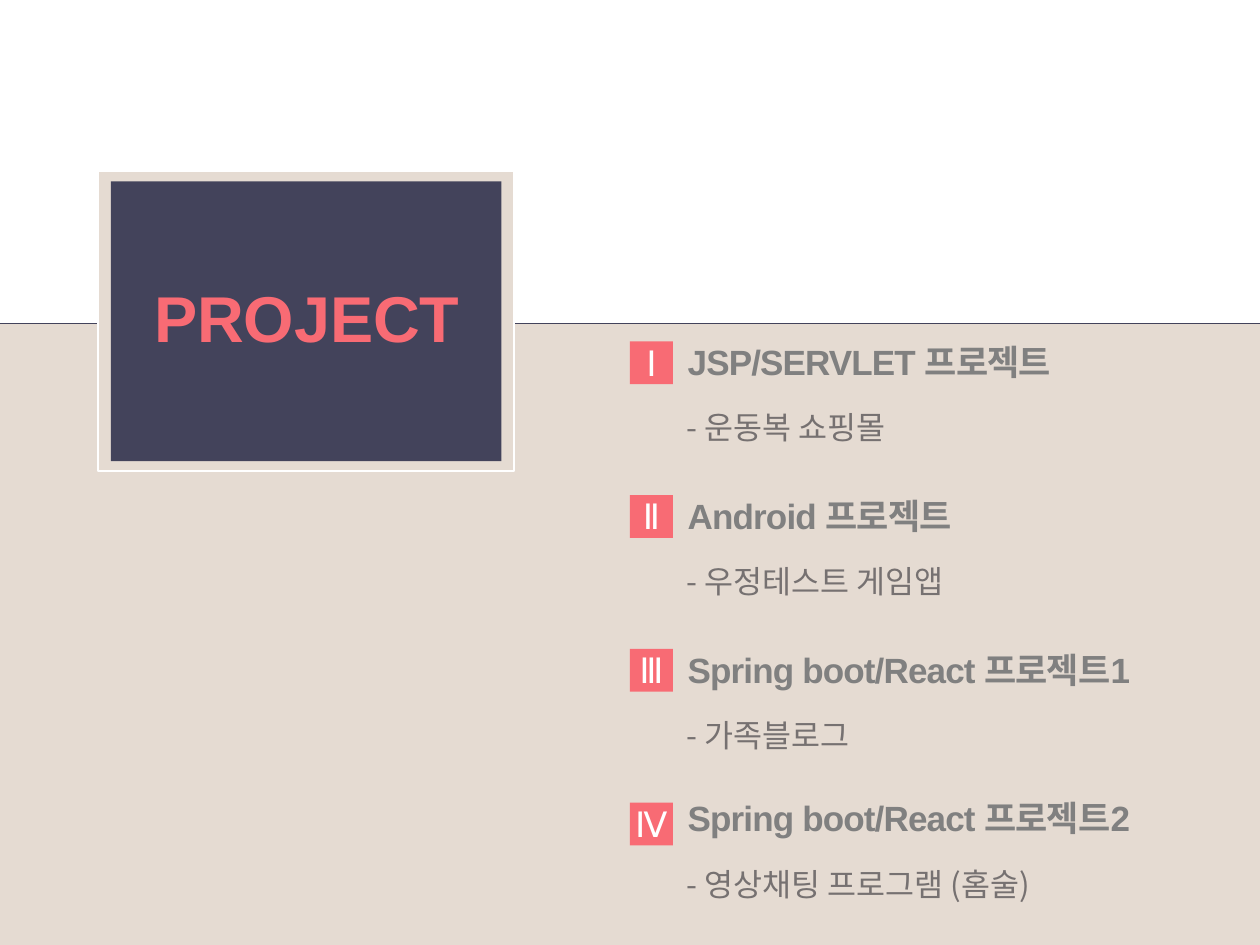
from pptx import Presentation
from pptx.dml.color import RGBColor
from pptx.enum.shapes import MSO_CONNECTOR, MSO_SHAPE
from pptx.enum.text import MSO_ANCHOR, PP_ALIGN
from pptx.oxml.ns import qn
from pptx.util import Inches, Pt
from lxml import etree

SAND = RGBColor(0xE5, 0xDB, 0xD2)
NAVY = RGBColor(0x43, 0x43, 0x5B)
CORAL = RGBColor(0xF8, 0x6B, 0x74)
WHITE = RGBColor(0xFF, 0xFF, 0xFF)
GRAY = RGBColor(0x80, 0x80, 0x80)
DARK = RGBColor(0x76, 0x71, 0x71)
KOREAN = "Noto Sans CJK KR"

deck = Presentation()
deck.slide_width, deck.slide_height = Inches(10), Inches(7.5)
slide = deck.slides.add_slide(deck.slide_layouts[6])
shapes = slide.shapes


def add_box(left, top, width, height, fill):
    box = shapes.add_shape(MSO_SHAPE.RECTANGLE, Inches(left), Inches(top),
                           Inches(width), Inches(height))
    box.shadow.inherit = False
    box.fill.solid()
    box.fill.fore_color.rgb = fill
    box.line.fill.background()
    return box


def set_text(shape, text, size, color, face="Arial", bold=False, space=0,
             align=PP_ALIGN.LEFT, wrap=False, anchor=MSO_ANCHOR.MIDDLE):
    frame = shape.text_frame
    frame.word_wrap = wrap
    frame.vertical_anchor = anchor
    para = frame.paragraphs[0]
    para.text = text
    para.alignment = align
    font = para.font
    font.name, font.size, font.bold = face, Pt(size), bold
    font.color.rgb = color
    # Letter spacing and the Korean typeface
    props = para._p.pPr.find(qn("a:defRPr"))
    props.set("spc", str(space))
    latin = props.find(qn("a:latin"))
    asian = etree.Element(qn("a:ea"), typeface=KOREAN)
    latin.addnext(asian)


# Lower background and dividing line
add_box(0, 2.57, 10, 4.93, SAND)
rule = shapes.add_connector(MSO_CONNECTOR.STRAIGHT, Inches(0), Inches(2.57),
                            Inches(10), Inches(2.57))
rule.line.color.rgb = NAVY
rule.line.width = Pt(0.5)
etree.SubElement(rule._element.spPr, qn("a:effectLst"))

# Framed title
frame = add_box(0.78, 1.36, 3.3, 2.38, SAND)
frame.line.color.rgb = WHITE
frame.line.width = Pt(1.25)
add_box(0.88, 1.44, 3.1, 2.22, NAVY)
title = shapes.add_textbox(Inches(0.96), Inches(2.21), Inches(2.95), Inches(0.61))
set_text(title, "PROJECT", 37, CORAL, bold=True, align=PP_ALIGN.CENTER)

# Projects: numeral, heading, detail, heading top, detail top
projects = [
    ("Ⅰ", "JSP/SERVLET 프로젝트", "- 운동복 쇼핑몰", 2.65, 3.19),
    ("Ⅱ", "Android 프로젝트", "- 우정테스트 게임앱", 3.87, 4.41),
    ("Ⅲ", "Spring boot/React 프로젝트1", "- 가족블로그", 5.09, 5.63),
    ("Ⅳ", "Spring boot/React 프로젝트2", "- 영상채팅 프로그램 (홈술)", 6.27, 6.82),
]
for row, (mark, name, detail, top, low) in enumerate(projects):
    head = shapes.add_textbox(Inches(5.36), Inches(top), Inches(3.97), Inches(0.44))
    set_text(head, name, 20, GRAY, bold=True, space=-50)

    badge = add_box(5, 2.71 + 1.22 * row, 0.34, 0.34, CORAL)
    set_text(badge, mark, 20, WHITE, space=-50, align=PP_ALIGN.CENTER)
    inner = badge.text_frame
    inner.margin_left = inner.margin_right = inner.margin_top = Inches(0.04)
    inner.margin_bottom = Inches(0.05)

    note = shapes.add_textbox(Inches(5.35), Inches(low), Inches(3.6), Inches(0.4))
    set_text(note, detail, 18, DARK, face=KOREAN, wrap=True, anchor=MSO_ANCHOR.TOP)

deck.save("out.pptx")
